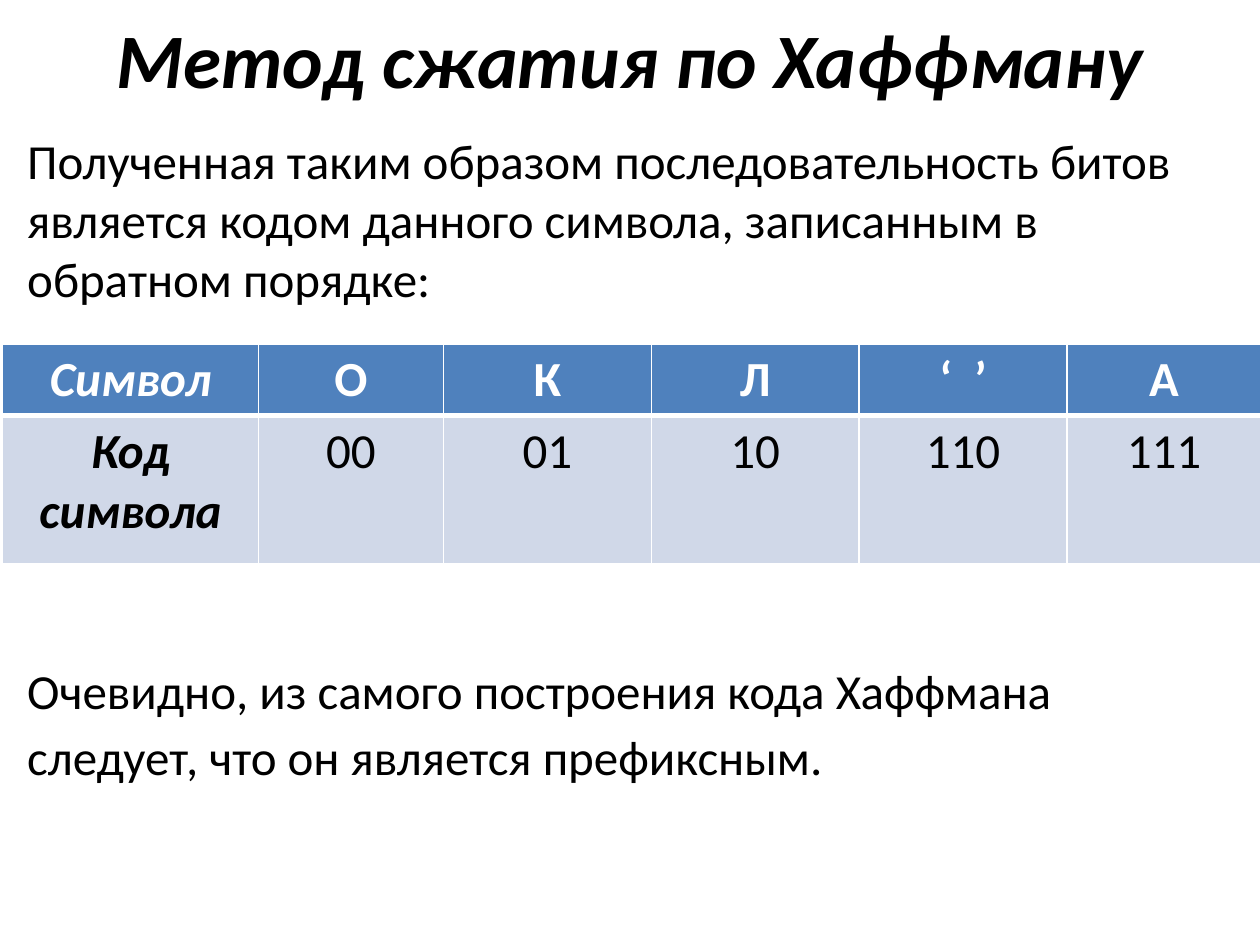
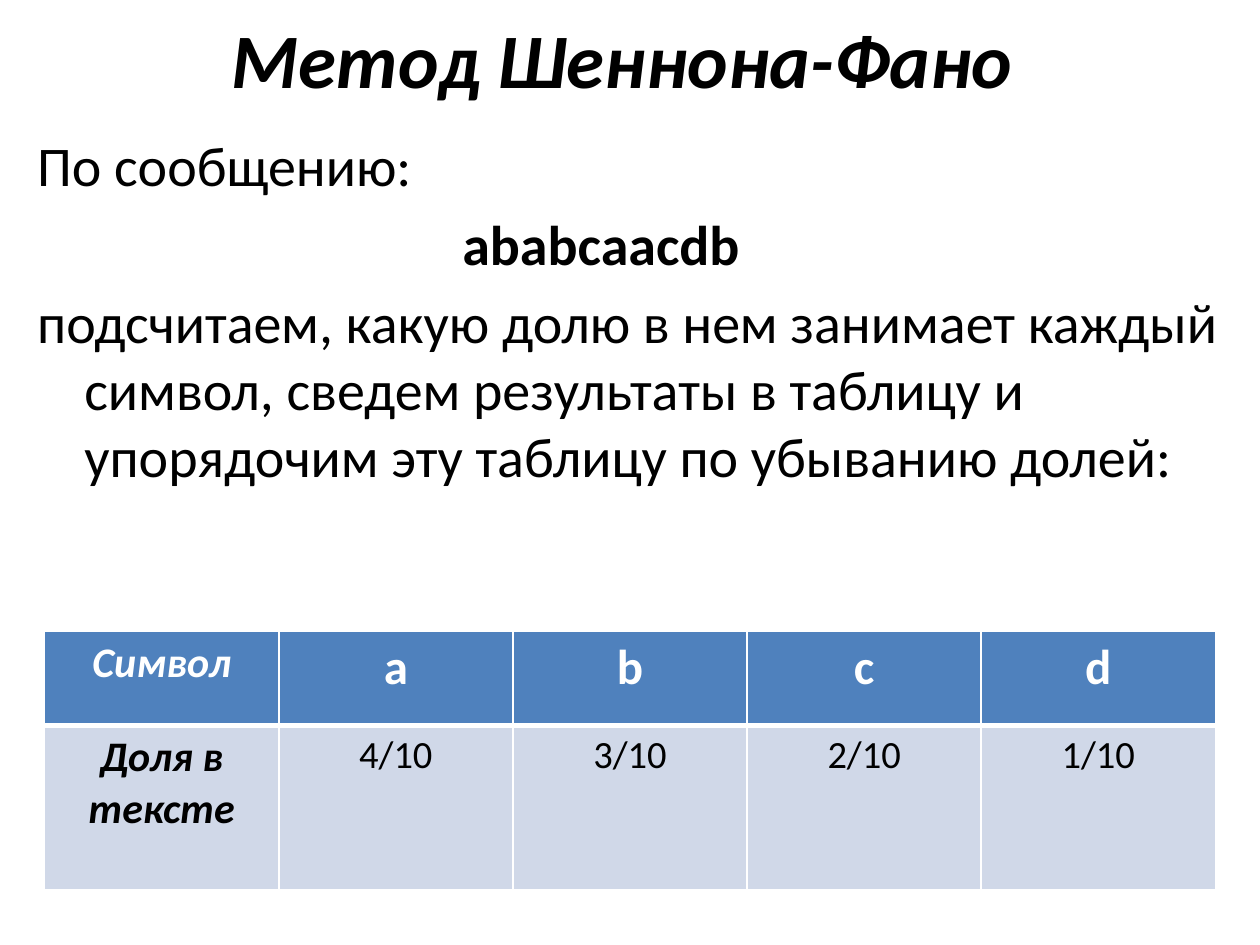
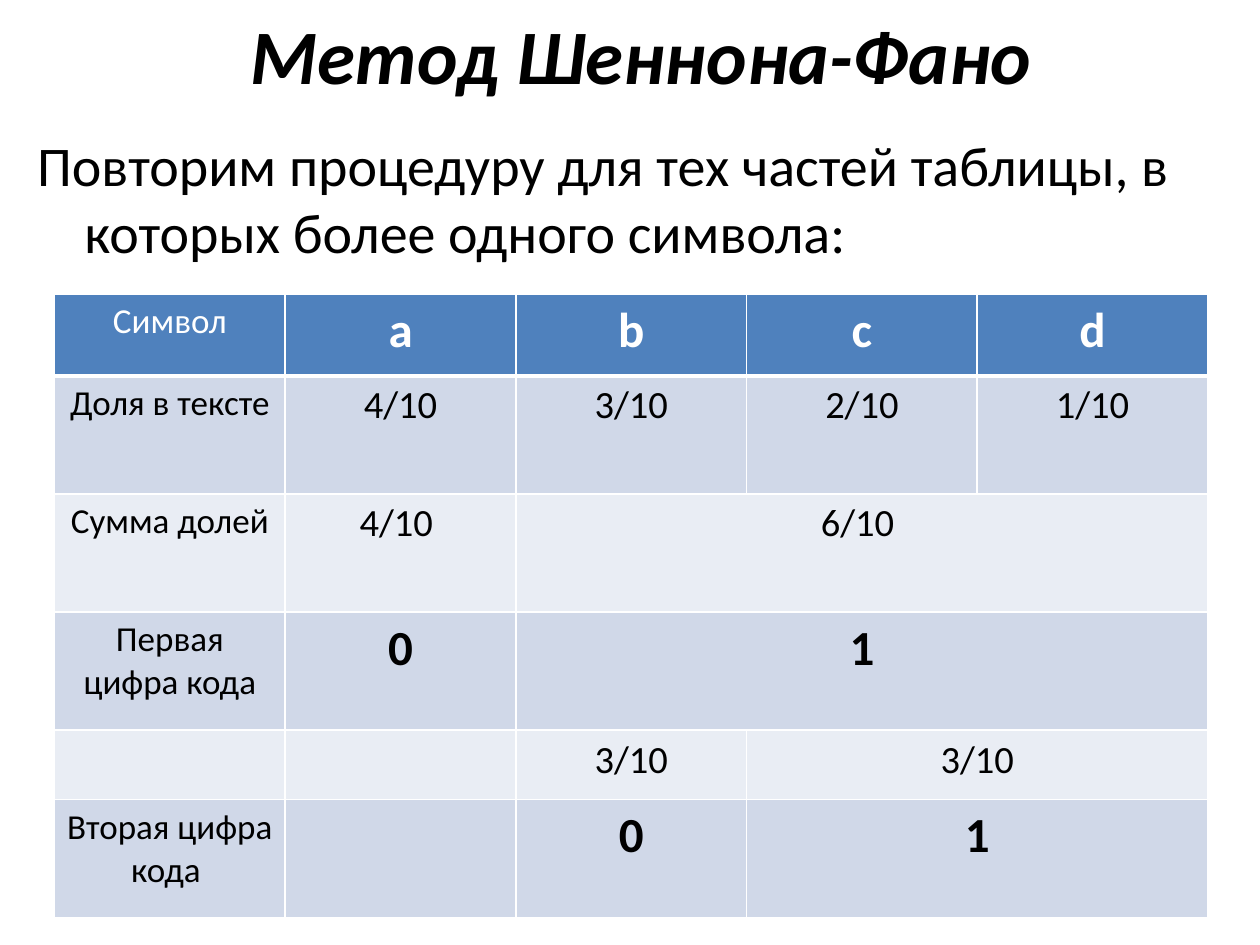
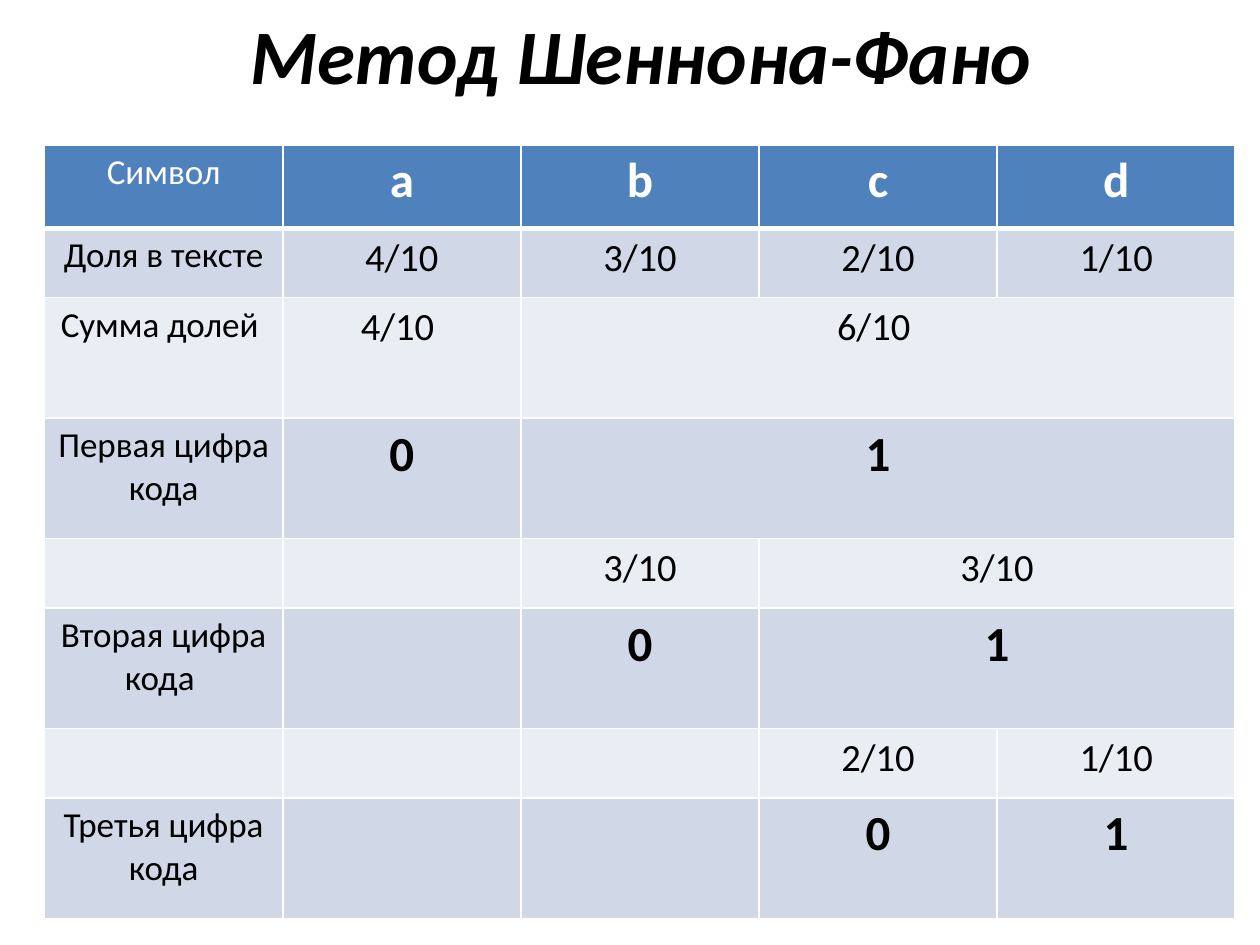
"""Build four slides on Huffman and Shannon-Fano compression codes."""
from collections import namedtuple

from lxml.etree import SubElement
from pptx import Presentation
from pptx.dml.color import RGBColor
from pptx.enum.text import MSO_ANCHOR, PP_ALIGN
from pptx.oxml.ns import qn
from pptx.util import Cm, Pt

BLACK = RGBColor(0x00, 0x00, 0x00)
WHITE = RGBColor(0xFF, 0xFF, 0xFF)
HEADER_BLUE = RGBColor(0x4F, 0x81, 0xBD)
BAND_DARK = RGBColor(0xD0, 0xD8, 0xE8)
BAND_LIGHT = RGBColor(0xE9, 0xED, 0xF4)
FONT = "Calibri"
TITLE_ONLY = 5
HANGING = 0.95

Style = namedtuple("Style", "size bold italic", defaults=(False, False))
Row = namedtuple("Row", "label values style")
Line = namedtuple("Line", "text left hanging before bold spacing",
                  defaults=(0, 0, 0, False, 1.0))

STRONG = Style(28, bold=True)
CODE = Style(28)
SHARE = Style(22)
STEP_LABEL = Style(20)

SYMBOLS = Row("Символ", ["a", "b", "c", "d"], STRONG)
SHARES = Row("Доля в тексте", ["4/10", "3/10", "2/10", "1/10"], SHARE)
TWO_STEPS = [
    SYMBOLS,
    SHARES,
    Row("Сумма долей ", ["4/10 ", "6/10 ", None, None], SHARE),
    Row("Первая цифра кода", ["0", "1", None, None], STRONG),
    Row("", ["", "3/10", "3/10", None], SHARE),
    Row("Вторая цифра кода ", ["", "0", "1", None], STRONG),
]
THREE_STEPS = TWO_STEPS + [
    Row("", ["", "", "2/10", "1/10"], SHARE),
    Row("Третья цифра кода", ["", "", "0", "1"], STRONG),
]


def set_font(paragraph, style, color):
    """Give a whole paragraph one font."""
    font = paragraph.font
    font.name, font.size = FONT, Pt(style.size)
    font.bold, font.italic = style.bold, style.italic
    font.color.rgb = color


def add_titled_slide(presentation, title, left, height):
    """Add a title-only slide with a bold italic heading at the top."""
    slide = presentation.slides.add_slide(presentation.slide_layouts[TITLE_ONLY])
    shape = slide.shapes.title
    shape.left, shape.top = Cm(left), Cm(0)
    shape.width, shape.height = Cm(22.86), Cm(height)
    frame = shape.text_frame
    frame.text = title
    frame.vertical_anchor = MSO_ANCHOR.MIDDLE
    frame.paragraphs[0].alignment = PP_ALIGN.CENTER
    set_font(frame.paragraphs[0], Style(44, True, True), BLACK)
    return slide


def add_body(slide, left, width, height, size, lines):
    """Add the running text below the title."""
    frame = slide.shapes.add_textbox(
        Cm(left), Cm(2.51), Cm(width), Cm(height)).text_frame
    frame.word_wrap = True
    for index, line in enumerate(lines):
        paragraph = frame.add_paragraph() if index else frame.paragraphs[0]
        paragraph.text = line.text
        paragraph.space_before = Pt(line.before)
        paragraph.line_spacing = line.spacing
        set_font(paragraph, Style(size, line.bold), BLACK)
        properties = paragraph._p.get_or_add_pPr()
        properties.set("marL", str(Cm(line.left + line.hanging)))
        properties.set("indent", str(-Cm(line.hanging)))


def set_borders(cell, bottom):
    """Draw white cell borders, with a bottom line of the given width."""
    properties = cell._tc.get_or_add_tcPr()
    widths = {"a:lnL": 1, "a:lnR": 1, "a:lnT": 1, "a:lnB": bottom}
    for tag, width in widths.items():
        border = SubElement(properties, qn(tag), w=str(Pt(width)))
        fill = SubElement(border, qn("a:solidFill"))
        SubElement(fill, qn("a:srgbClr"), val=str(WHITE))


def fill_cell(cell, text, style, row_index):
    """Write one centred cell in the colours of its row."""
    header = row_index == 0
    set_borders(cell, 3 if header else 1)
    cell.fill.solid()
    band = BAND_DARK if row_index % 2 else BAND_LIGHT
    cell.fill.fore_color.rgb = HEADER_BLUE if header else band
    if text:
        cell.text = text
        paragraph = cell.text_frame.paragraphs[0]
        paragraph.alignment = PP_ALIGN.CENTER
        set_font(paragraph, style, WHITE if header else BLACK)


def add_code_table(slide, left, top, widths, heights, rows, label_style):
    """Add a table; None in a row extends the cell on its left."""
    table = slide.shapes.add_table(
        len(rows), len(widths), Cm(left), Cm(top),
        Cm(sum(widths)), Cm(sum(heights))).table
    for column, width in zip(table.columns, widths):
        column.width = Cm(width)
    for row_index, (row, height) in enumerate(zip(rows, heights)):
        table.rows[row_index].height = Cm(height)
        texts = [row.label, *row.values]
        for column_index, text in enumerate(texts):
            style = row.style if column_index else label_style
            fill_cell(table.cell(row_index, column_index), text, style, row_index)
        if None in texts:
            start = texts.index(None) - 1
            table.cell(row_index, start).merge(
                table.cell(row_index, len(texts) - 1))


def add_huffman_codes(presentation):
    """Show the Huffman code of each symbol."""
    slide = add_titled_slide(presentation, "Метод сжатия по Хаффману", 1.27, 2.34)
    add_body(slide, 0.3, 24.8, 16.5, 28, [
        Line("Полученная таким образом последовательность битов является "
             "кодом данного символа, записанным в обратном порядке:"),
        Line("Очевидно, из самого построения кода Хаффмана следует, что он "
             "является префиксным.", before=198, spacing=1.12),
    ])
    add_code_table(slide, 0.05, 6.93, [5.16, 3.73, 4.19, 4.19, 4.19, 3.91],
                   [1.42, 3], [
                       Row("Символ", ["О", "К", "Л", "‘  ’", "А"], STRONG),
                       Row("Код символа", ["00", "01", "10", "110", "111"], CODE),
                   ], Style(28, True, True))


def add_symbol_shares(presentation):
    """Show the share of each symbol in the message."""
    slide = add_titled_slide(presentation, "Метод Шеннона-Фано ", 1.3, 2.34)
    add_body(slide, 0.5, 24.4, 16.2, 32, [
        Line("По сообщению:", hanging=HANGING),
        Line("ababcaacdb", left=8.57, before=6.4, bold=True),
        Line("подсчитаем, какую долю в нем занимает каждый символ, сведем "
             "результаты в таблицу и упорядочим эту таблицу по убыванию долей:",
             hanging=HANGING, before=6.4),
    ])
    add_code_table(slide, 0.9, 12.73, [4.72] * 5, [1.9, 3.3],
                   [SYMBOLS, SHARES], Style(24, True, True))


def add_second_digit(presentation):
    """Show the table after the second division."""
    slide = add_titled_slide(presentation, "Метод Шеннона-Фано", 1.5, 2.16)
    add_body(slide, 0.5, 24.2, 16, 32, [
        Line("Повторим процедуру для тех частей таблицы, в которых более "
             "одного символа: ", hanging=HANGING),
    ])
    add_code_table(slide, 1.1, 5.93, [4.65] * 5,
                   [1.65, 2.38, 2.38, 2.38, 1.4, 2.38], TWO_STEPS, STEP_LABEL)


def add_third_digit(presentation):
    """Show the finished table with all three code digits."""
    slide = add_titled_slide(presentation, "Метод Шеннона-Фано", 1.5, 2.16)
    add_code_table(slide, 0.9, 2.92, [4.8] * 5,
                   [1.68, 1.4, 2.43, 2.43, 1.4, 2.43, 1.4, 2.43],
                   THREE_STEPS, STEP_LABEL)


def main():
    """Build and save the presentation."""
    presentation = Presentation()
    presentation.slide_width, presentation.slide_height = Cm(25.4), Cm(19.05)
    add_huffman_codes(presentation)
    add_symbol_shares(presentation)
    add_second_digit(presentation)
    add_third_digit(presentation)
    presentation.save("out.pptx")


if __name__ == "__main__":
    main()
